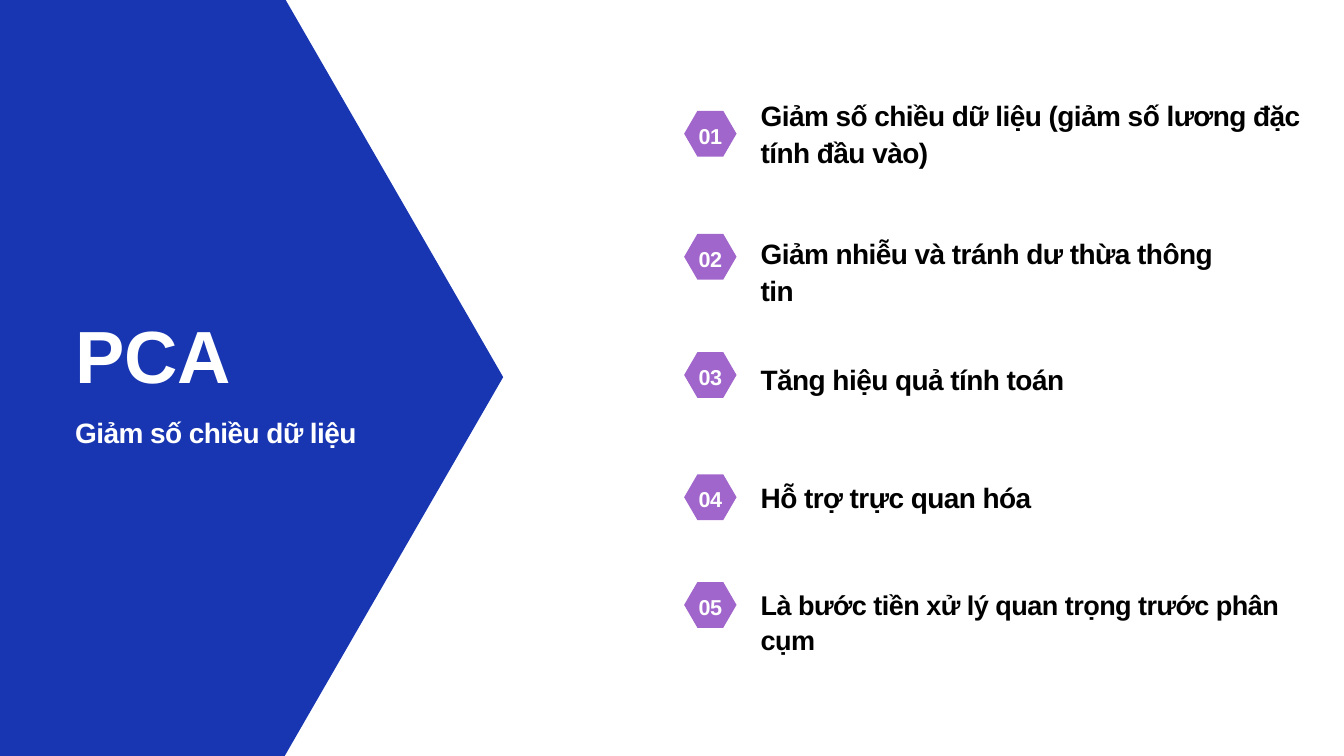
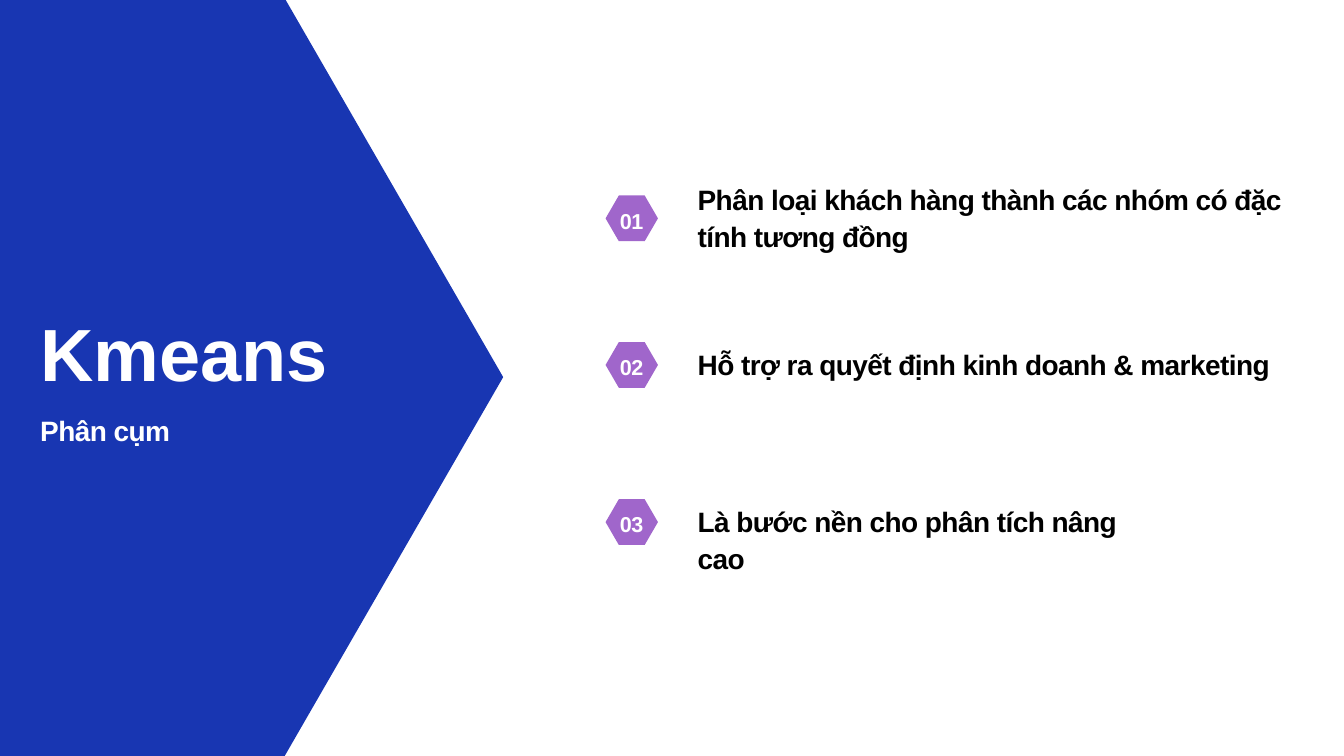
from pptx import Presentation
from pptx.dml.color import RGBColor
from pptx.enum import shapes, text
from pptx.util import Cm, Pt

COLORS = {"band": "1836B2", "badge": "A066CB", "light": "FFFFFF", "dark": "000000"}
FONT = "Arial"
BADGE_WIDTH, BADGE_HEIGHT = 1.98, 1.73

PAGES = [
    {
        "title": "PCA", "subtitle": "Giảm số chiều dữ liệu",
        "left": 2.84, "top": 11.33, "badge_left": 25.86, "item_left": 28.75,
        "items": [
            ("Giảm số chiều dữ liệu (giảm số lương đặc tính đầu vào)", 4.19, 3.63, 21.01, 2.74, 30),
            ("Giảm nhiễu và tránh dư thừa thông tin", 8.84, 8.84, 17.98, 1.37, 30),
            ("Tăng hiệu quả tính toán", 13.31, 13.59, 14.25, 1.37, 30),
            ("Hỗ trợ trực quan hóa", 17.93, 18.06, 16.61, 1.37, 30),
            ("Là bước tiền xử lý quan trọng trước phân cụm", 22, 22.15, 19.58, 1.3, 29),
        ],
    },
    {
        "title": "Kmeans", "subtitle": "Phân cụm",
        "left": 1.52, "top": 11.25, "badge_left": 22.89, "item_left": 26.37,
        "items": [
            ("Phân loại khách hàng thành các nhóm có đặc tính tương đồng", 7.39, 6.81, 23.57, 2.74, 30),
            ("Hỗ trợ ra quyết định kinh doanh & marketing", 12.93, 13.03, 23.57, 1.37, 30),
            ("Là bước nền cho phân tích nâng cao", 18.87, 18.97, 16.61, 1.37, 30),
        ],
    },
]


def write(box, words, size, color, line=1.3, spacing=-60,
          align=text.PP_ALIGN.LEFT, anchor=text.MSO_ANCHOR.TOP, wrap=True):
    frame = box.text_frame
    frame.text = words
    frame.word_wrap = wrap
    frame.auto_size = text.MSO_AUTO_SIZE.NONE
    frame.vertical_anchor = anchor
    frame.margin_left = frame.margin_top = frame.margin_right = frame.margin_bottom = 0
    para = frame.paragraphs[0]
    para.alignment = align
    para.line_spacing = Pt(round(size * line, 1))
    span = para.runs[0]
    span.font.name = FONT
    span.font.size = Pt(size)
    span.font.bold = True
    span.font.color.rgb = RGBColor.from_string(COLORS[color])
    if spacing:
        span._r.get_or_add_rPr().set("spc", str(spacing))


def add_hexagon(page, left, top, width, height, inset, color):
    hexagon = page.shapes.add_shape(
        shapes.MSO_SHAPE.HEXAGON, Cm(left), Cm(top), Cm(width), Cm(height))
    hexagon.adjustments[0] = inset
    hexagon.shadow.inherit = False
    hexagon.fill.solid()
    hexagon.fill.fore_color.rgb = RGBColor.from_string(COLORS[color])
    hexagon.line.fill.background()
    return hexagon


deck = Presentation()
deck.slide_width = Cm(50.8)
deck.slide_height = Cm(28.575)

for content in PAGES:
    page = deck.slides.add_slide(deck.slide_layouts[5])

    band = add_hexagon(page, -12.45, -5.61, 31.47, 39.73, 0.364, "band")
    title = page.shapes.title
    title.element.addprevious(band.element)
    title.left, title.top = Cm(content["left"]), Cm(content["top"])
    title.width, title.height = Cm(16.15), Cm(3.56)
    write(title, content["title"], 79.2, "light", line=1.331, spacing=0)

    subtitle = page.shapes.add_textbox(
        Cm(content["left"]), Cm(content["top"] + 4.27), Cm(13.69), Cm(1.35))
    write(subtitle, content["subtitle"], 30, "light")

    for number, item in enumerate(content["items"], start=1):
        words, badge_top, item_top, width, height, size = item
        badge = add_hexagon(page, content["badge_left"], badge_top,
                            BADGE_WIDTH, BADGE_HEIGHT, 0.29, "badge")
        write(badge, f"{number:02}", 23.1, "light", line=1.4, spacing=-50,
              align=text.PP_ALIGN.CENTER, anchor=text.MSO_ANCHOR.MIDDLE, wrap=False)
        box = page.shapes.add_textbox(
            Cm(content["item_left"]), Cm(item_top), Cm(width), Cm(height))
        write(box, words, size, "dark")

deck.save("out.pptx")
